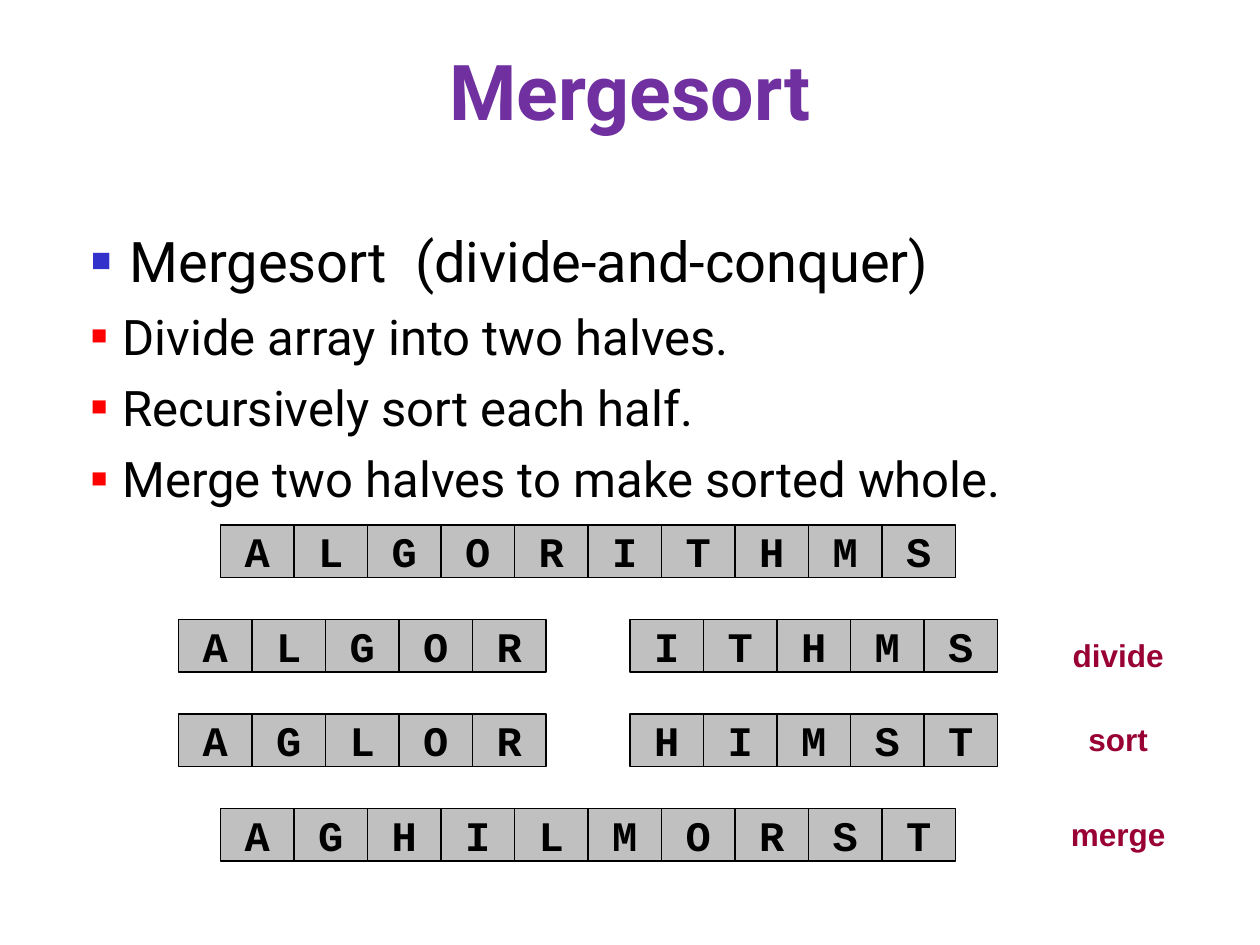
from lxml import etree
from pptx import Presentation
from pptx.dml.color import RGBColor
from pptx.enum.shapes import MSO_SHAPE
from pptx.enum.text import MSO_ANCHOR, PP_ALIGN
from pptx.oxml.ns import qn
from pptx.util import Pt

CENTER, LEFT = PP_ALIGN.CENTER, PP_ALIGN.LEFT
TOP, MIDDLE = MSO_ANCHOR.TOP, MSO_ANCHOR.MIDDLE
RECTANGLE = MSO_SHAPE.RECTANGLE

CELL_WIDTH, CELL_HEIGHT = 42, 30
ROW_PITCH = 54
HALF_GAP = 48

POINTS = [
    ("Mergesort  (divide-and-conquer)", 32, 0, 31, -22, "3333CC", 60),
    ("Divide array into two halves.", 28, 7, 27, -18, "FF0000", 55),
    ("Recursively sort each half.", 28, 7, 27, -18, "FF0000", 55),
    ("Merge two halves to make sorted whole.", 28, 7, 27, -18, "FF0000", 55),
]
ROWS = [["ALGORITHMS"], ["ALGOR", "ITHMS"], ["AGLOR", "HIMST"], ["AGHILMORST"]]
STEPS = [("divide", 360), ("sort", 408), ("merge", 462)]


def color(value):
    """Turn a hex string into a colour."""
    return RGBColor.from_string(value)


def style(para, font_name, size, ink, bold=False, align=LEFT):
    """Format the runs of a paragraph and align it."""
    para.alignment = align
    for span in para.runs:
        span.font.name = font_name
        span.font.size = Pt(size)
        span.font.bold = bold
        span.font.color.rgb = color(ink)


def add_text(page, left, top, width, height):
    """Add a wrapping text box and return its text frame."""
    box = page.shapes.add_textbox(Pt(left), Pt(top), Pt(width), Pt(height))
    frame = box.text_frame
    frame.word_wrap = True
    frame.vertical_anchor = TOP
    return frame


def add_bullet(para, margin, indent, ink, percent):
    """Give a paragraph a square bullet with a hanging indent."""
    props = para._p.get_or_add_pPr()
    props.set("marL", str(Pt(margin)))
    props.set("indent", str(Pt(indent)))
    tint = etree.SubElement(props, qn("a:buClr"))
    etree.SubElement(tint, qn("a:srgbClr"), val=ink)
    etree.SubElement(props, qn("a:buSzPct"), val=str(percent * 1000))
    etree.SubElement(props, qn("a:buFont"), typeface="Arial")
    etree.SubElement(props, qn("a:buChar"), char="■")


def add_title(page, left, top, width, height):
    """Add the slide title."""
    frame = add_text(page, left, top, width, height)
    frame.text = "Mergesort"
    style(frame.paragraphs[0], "Roboto", 44, "7030A0", True, CENTER)


def add_points(page, left, top, width, height):
    """Add the bulleted description of the algorithm."""
    frame = add_text(page, left, top, width, height)
    frame.text = "\n".join(point[0] for point in POINTS)
    for para, point in zip(frame.paragraphs, POINTS):
        _, size, before, margin, indent, ink, percent = point
        add_bullet(para, margin, indent, ink, percent)
        para.space_before = Pt(before)
        style(para, "Roboto", size, "000000")


def add_array(page, letters, left, top):
    """Add a run of joined cells with one letter in each."""
    for index, letter in enumerate(letters):
        cell = page.shapes.add_shape(
            RECTANGLE, Pt(left + index * CELL_WIDTH), Pt(top),
            Pt(CELL_WIDTH), Pt(CELL_HEIGHT))
        cell.shadow.inherit = False
        cell.fill.solid()
        cell.fill.fore_color.rgb = color("C0C0C0")
        cell.line.color.rgb = color("000000")
        cell.line.width = Pt(0.75)
        frame = cell.text_frame
        frame.word_wrap = False
        frame.vertical_anchor = MIDDLE
        frame.text = letter
        style(frame.paragraphs[0], "Courier New", 24, "000000", True, CENTER)


def add_arrays(page, center, top):
    """Add the rows of arrays, each row centred on one axis."""
    for row, arrays in enumerate(ROWS):
        gaps = HALF_GAP * (len(arrays) - 1)
        left = center - (len("".join(arrays)) * CELL_WIDTH + gaps) / 2
        for letters in arrays:
            add_array(page, letters, left, top + row * ROW_PITCH)
            left += len(letters) * CELL_WIDTH + HALF_GAP


def add_steps(page, left, width):
    """Add the step names beside the arrays."""
    for name, top in STEPS:
        frame = add_text(page, left, top, width, 29)
        frame.text = name
        style(frame.paragraphs[0], "Arial", 18, "990033", True, CENTER)


def main():
    """Build the slide and save the deck."""
    deck = Presentation()
    deck.slide_width, deck.slide_height = Pt(720), Pt(540)
    page = deck.slides.add_slide(deck.slide_layouts[6])
    add_title(page, 36, 21.6, 648, 90)
    add_points(page, 36, 126, 648, 356.4)
    add_arrays(page, 336, 300)
    add_steps(page, 582, 114)
    deck.save("out.pptx")


if __name__ == "__main__":
    main()
